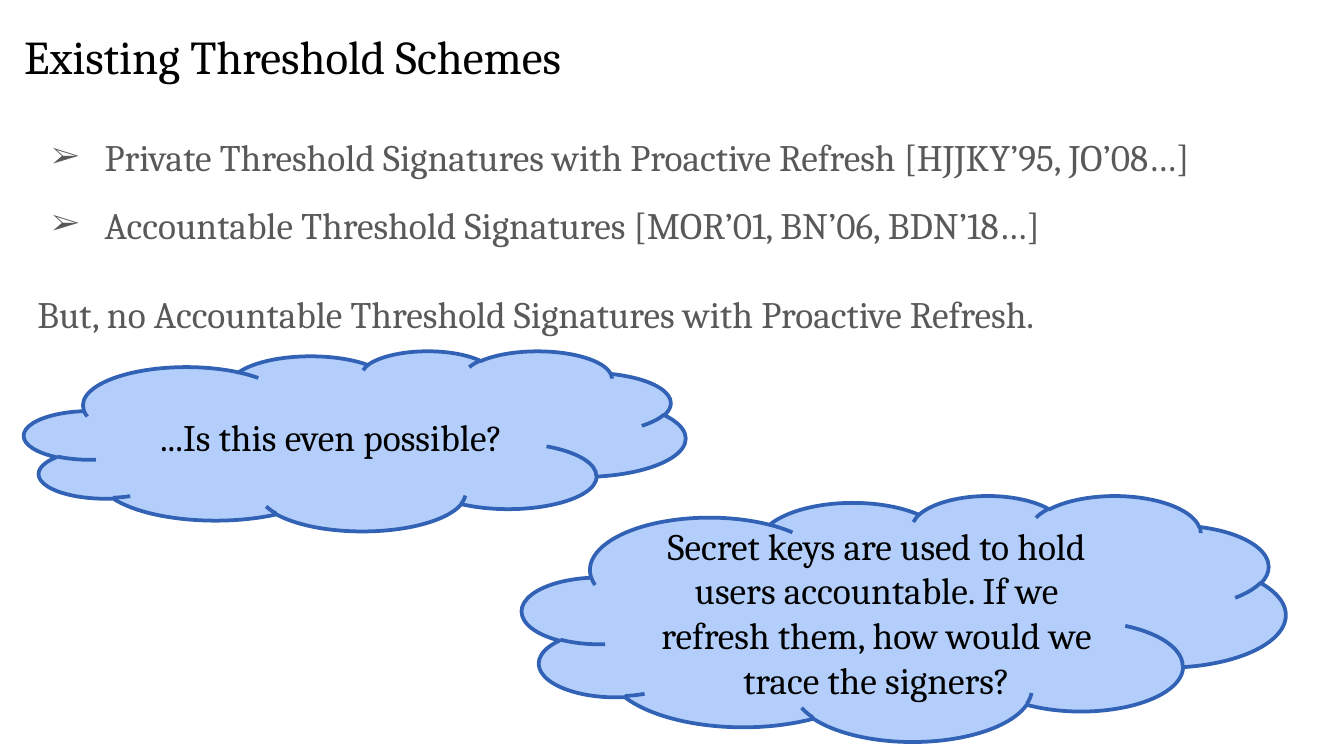
"""Build the slide on existing threshold schemes with python-pptx."""
from lxml import etree
from pptx import Presentation
from pptx import util as u
from pptx.dml.color import RGBColor
from pptx.enum import shapes, text
from pptx.oxml.ns import qn

PX = 4572
SLIDE_SIZE = (2000, 1125)
FONT = "Cambria"
COLORS = {"ink": "000000", "body": "595959", "cloud": "B3CEFB", "edge": "3162B5"}

TITLE = ("Existing Threshold Schemes", (16, 21, 1864, 126))
SCHEMES = [
    "Private Threshold Signatures with Proactive Refresh [HJJKY’95, JO’08…]",
    "Accountable Threshold Signatures [MOR’01, BN’06, BDN’18…]",
]
GAP = "But, no Accountable Threshold Signatures with Proactive Refresh."
BODY_AREA = (36, 147, 1924, 490)
CLOUDS = [
    ("...Is this even possible?", (36, 522, 984, 268)),
    ("Secret keys are used to hold users accountable. If we refresh them, "
     "how would we trace the signers?", (777, 737, 1136, 366)),
]


def color(name):
    return RGBColor.from_string(COLORS[name])


def emu(area):
    return [length * PX for length in area]


def place(shape, area):
    shape.left, shape.top, shape.width, shape.height = emu(area)


def set_frame(frame, anchor, inset):
    frame.word_wrap = True
    frame.auto_size = text.MSO_AUTO_SIZE.NONE
    frame.vertical_anchor = anchor
    frame.margin_left = frame.margin_right = 20 * PX
    frame.margin_top = frame.margin_bottom = inset * PX


def write(para, words, size, ink, align=text.PP_ALIGN.LEFT):
    para.alignment = align
    span = para.add_run()
    span.text = words
    span.font.name = FONT
    span.font.size = u.Pt(size)
    span.font.color.rgb = color(ink)


def add_bullet(para):
    props = para._p.get_or_add_pPr()
    props.set("marL", str(100 * PX))
    props.set("indent", str(-78 * PX))
    tint = etree.SubElement(props, qn("a:buClr"))
    etree.SubElement(tint, qn("a:srgbClr"), val=COLORS["body"])
    etree.SubElement(props, qn("a:buSzPct"), val="80000")
    etree.SubElement(props, qn("a:buFont"), typeface=FONT)
    etree.SubElement(props, qn("a:buChar"), char="➢")


def add_title(page):
    words, area = TITLE
    title = page.shapes.title
    place(title, area)
    set_frame(title.text_frame, text.MSO_ANCHOR.TOP, 20)
    write(title.text_frame.paragraphs[0], words, 25.2, "ink")


def add_body(page):
    frame = page.shapes.add_textbox(*emu(BODY_AREA)).text_frame
    set_frame(frame, text.MSO_ANCHOR.TOP, 20)
    for index, words in enumerate(SCHEMES + [GAP]):
        para = frame.add_paragraph() if index else frame.paragraphs[0]
        if words in SCHEMES:
            add_bullet(para)
        else:
            para.space_before = para.space_after = u.Pt(12)
        para.line_spacing = 1.5
        write(para, words, 20, "body")


def add_cloud(page, words, area):
    cloud = page.shapes.add_shape(shapes.MSO_SHAPE.CLOUD, *emu(area))
    cloud.shadow.inherit = False
    cloud.fill.solid()
    cloud.fill.fore_color.rgb = color("cloud")
    cloud.line.color.rgb = color("edge")
    cloud.line.width = u.Pt(2)
    set_frame(cloud.text_frame, text.MSO_ANCHOR.MIDDLE, 10)
    write(cloud.text_frame.paragraphs[0], words, 20, "ink", text.PP_ALIGN.CENTER)


def main():
    deck = Presentation()
    deck.slide_width, deck.slide_height = emu(SLIDE_SIZE)
    page = deck.slides.add_slide(deck.slide_layouts[5])
    add_title(page)
    add_body(page)
    for words, area in CLOUDS:
        add_cloud(page, words, area)
    deck.save("out.pptx")


if __name__ == "__main__":
    main()
